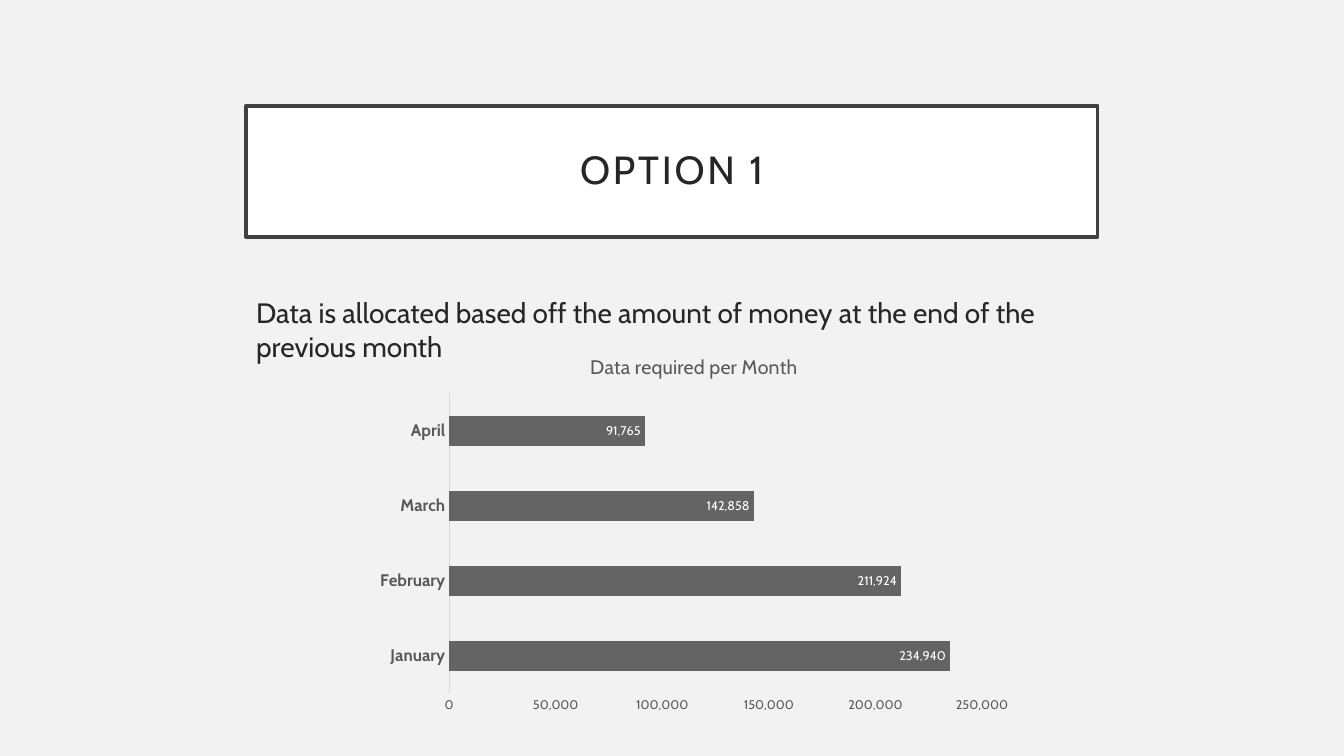
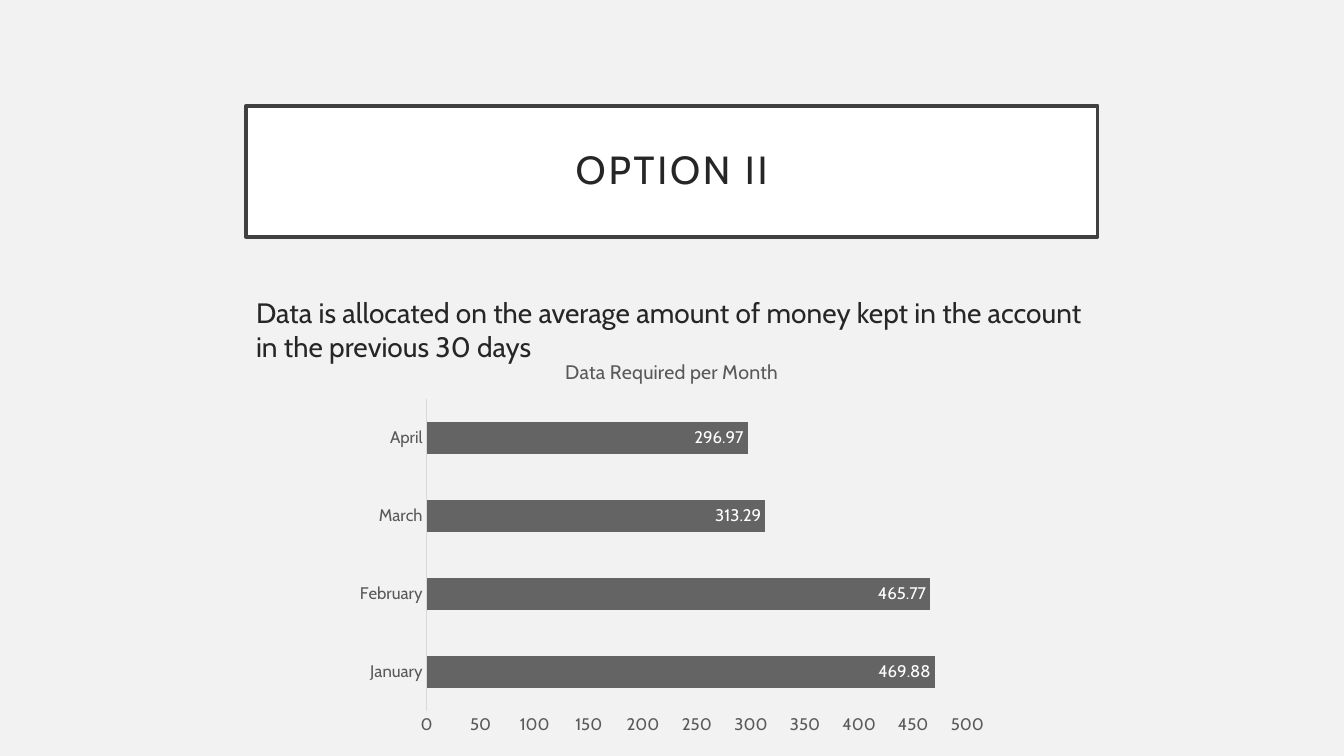
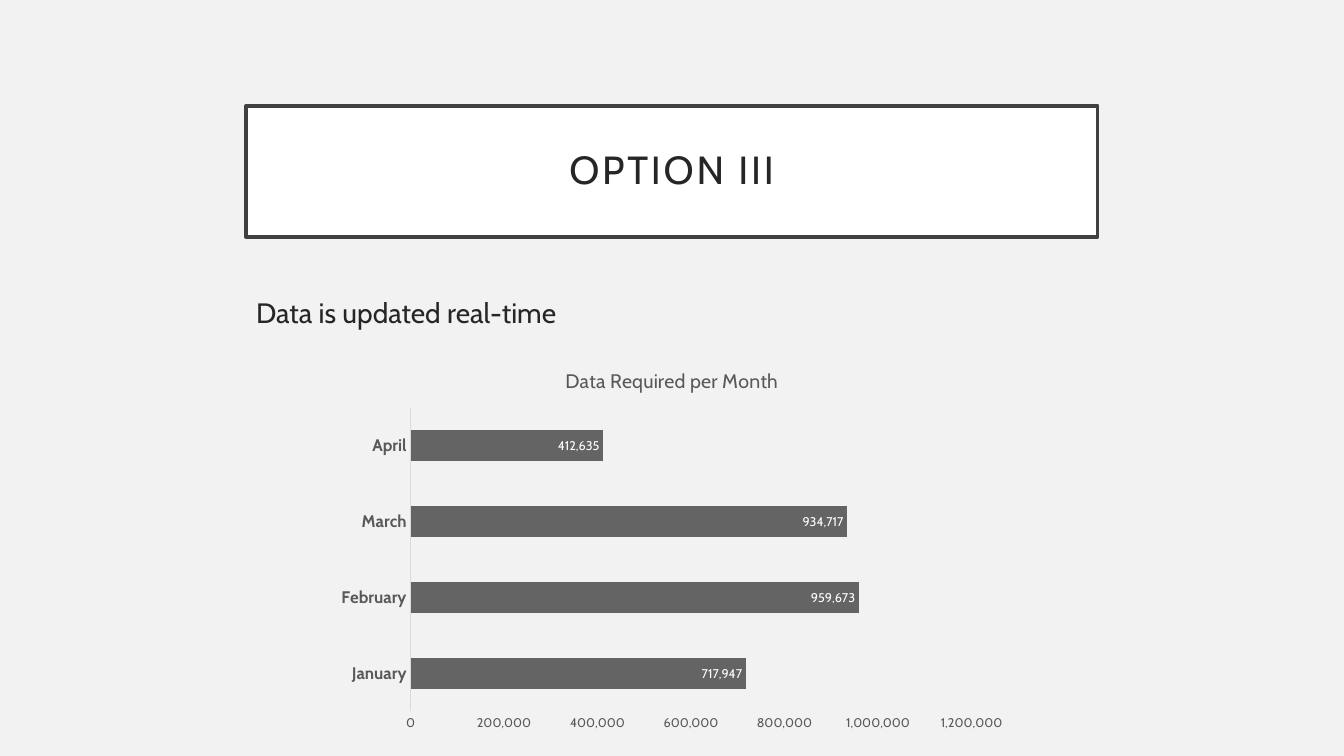
from pptx import Presentation
from pptx.chart.data import CategoryChartData
from pptx.dml.color import RGBColor
from pptx.enum.chart import XL_CHART_TYPE, XL_LABEL_POSITION, XL_TICK_MARK
from pptx.enum.text import MSO_ANCHOR, MSO_AUTO_SIZE, PP_ALIGN
from pptx.oxml.ns import qn
from pptx.util import Pt

BAR_STACKED = XL_CHART_TYPE.BAR_STACKED
INSIDE_END = XL_LABEL_POSITION.INSIDE_END
NO_TICK = XL_TICK_MARK.NONE
MIDDLE, TOP = MSO_ANCHOR.MIDDLE, MSO_ANCHOR.TOP
NO_FIT = MSO_AUTO_SIZE.NONE
CENTER, LEFT = PP_ALIGN.CENTER, PP_ALIGN.LEFT

FONT = "Cabin"
COLORS = {
    "background": "F2F2F2",
    "white": "FFFFFF",
    "border": "404040",
    "text": "262626",
    "muted": "595959",
    "axis": "D9D9D9",
    "bar": "646464",
}
MONTHS = ["January", "February", "March", "April"]
TITLE_BOX = (175.7, 75.6, 608.4, 93.6)
BODY_BOX = (175.7, 207.4, 608.4, 244.1)

OPTIONS = [
    {
        "title": "OPTION 1",
        "body": "Data is allocated based off the amount of money at the end of the previous month",
        "chart_title": "Data required per Month",
        "box": (262.1, 240.5, 467.3, 274.3),
        "values": [234940, 211924, 142858, 91765],
        "format": "#,##0", "number_size": 9, "bold_months": True,
    },
    {
        "title": "OPTION II",
        "body": "Data is allocated on the average amount of money kept in the account in the previous 30 days",
        "chart_title": "Data Required per Month",
        "box": (247.7, 244.1, 464.4, 286.6),
        "values": [469.88, 465.77, 313.29, 296.97],
        "format": "General", "number_size": 12, "bold_months": False,
    },
    {
        "title": "OPTION III",
        "body": "Data is updated real-time",
        "chart_title": "Data Required per Month",
        "box": (234, 250.6, 491.8, 277.2),
        "values": [717947, 959673, 934717, 412635],
        "format": "#,##0", "number_size": 9, "bold_months": True,
    },
]


def color(name):
    return RGBColor.from_string(COLORS[name])


def style_font(font, size, name, bold=False):
    font.name = FONT
    font.size = Pt(size)
    font.bold = bold
    font.color.rgb = color(name)


def fill_placeholder(sp, box, text, size, align, anchor):
    sp.left, sp.top, sp.width, sp.height = map(Pt, box)
    tf = sp.text_frame
    tf.text = text
    tf.word_wrap = True
    tf.auto_size = NO_FIT
    tf.vertical_anchor = anchor
    p = tf.paragraphs[0]
    p.alignment = align
    style_font(p.font, size, "text")
    return tf, p


def add_title(s, box, text):
    sp = s.shapes.title
    tf, p = fill_placeholder(sp, box, text, 28, CENTER, MIDDLE)
    tf.margin_left = tf.margin_right = tf.margin_top = tf.margin_bottom = Pt(14.4)
    p.line_spacing = 0.9
    p.runs[0].font._element.set("spc", "200")
    sp.fill.solid()
    sp.fill.fore_color.rgb = color("white")
    sp.line.color.rgb = color("border")
    sp.line.width = Pt(2.5)


def add_body(s, box, text):
    tf, p = fill_placeholder(s.placeholders[1], box, text, 20, LEFT, TOP)
    p.space_before = Pt(10)
    pPr = p._p.get_or_add_pPr()
    pPr.set("marL", "0")
    pPr.set("indent", "0")
    pPr.insert_element_before(pPr.makeelement(qn("a:buNone"), {}),
                              "a:tabLst", "a:defRPr", "a:extLst")


def style_axis(axis, size, bold=False):
    axis.has_major_gridlines = False
    axis.major_tick_mark = axis.minor_tick_mark = NO_TICK
    style_font(axis.tick_labels.font, size, "muted", bold)


def add_month_chart(s, box, option):
    data = CategoryChartData(number_format=option["format"])
    data.categories = MONTHS
    data.add_series("Series 1", option["values"])
    chart = s.shapes.add_chart(BAR_STACKED, *map(Pt, box), data).chart
    chart.font.name = FONT
    chart.has_legend = False
    chart.has_title = True
    chart.chart_title.include_in_layout = False
    tf = chart.chart_title.text_frame
    tf.text = option["chart_title"]
    style_font(tf.paragraphs[0].font, 14, "muted")

    months, amounts = chart.category_axis, chart.value_axis
    style_axis(months, 12, option["bold_months"])
    months.format.line.color.rgb = color("axis")
    months.format.line.width = Pt(0.75)
    style_axis(amounts, option["number_size"])
    amounts.format.line.fill.background()
    amounts.tick_labels.number_format = option["format"]
    amounts.tick_labels.number_format_is_linked = False

    plot = chart.plots[0]
    plot.gap_width = 150
    plot.overlap = 100
    plot.vary_by_categories = False
    series = plot.series[0]
    series.format.fill.solid()
    series.format.fill.fore_color.rgb = color("bar")
    labels = series.data_labels
    labels.show_value = True
    labels.position = INSIDE_END
    labels.number_format = option["format"]
    labels.number_format_is_linked = False
    style_font(labels.font, option["number_size"], "white")


def add_option_slide(prs, option):
    s = prs.slides.add_slide(prs.slide_layouts[1])
    add_title(s, TITLE_BOX, option["title"])
    add_body(s, BODY_BOX, option["body"])
    add_month_chart(s, option["box"], option)


def main():
    prs = Presentation()
    prs.slide_width, prs.slide_height = Pt(960), Pt(540)
    fill = prs.slide_master.background.fill
    fill.solid()
    fill.fore_color.rgb = color("background")
    for option in OPTIONS:
        add_option_slide(prs, option)
    prs.save("out.pptx")


if __name__ == "__main__":
    main()
